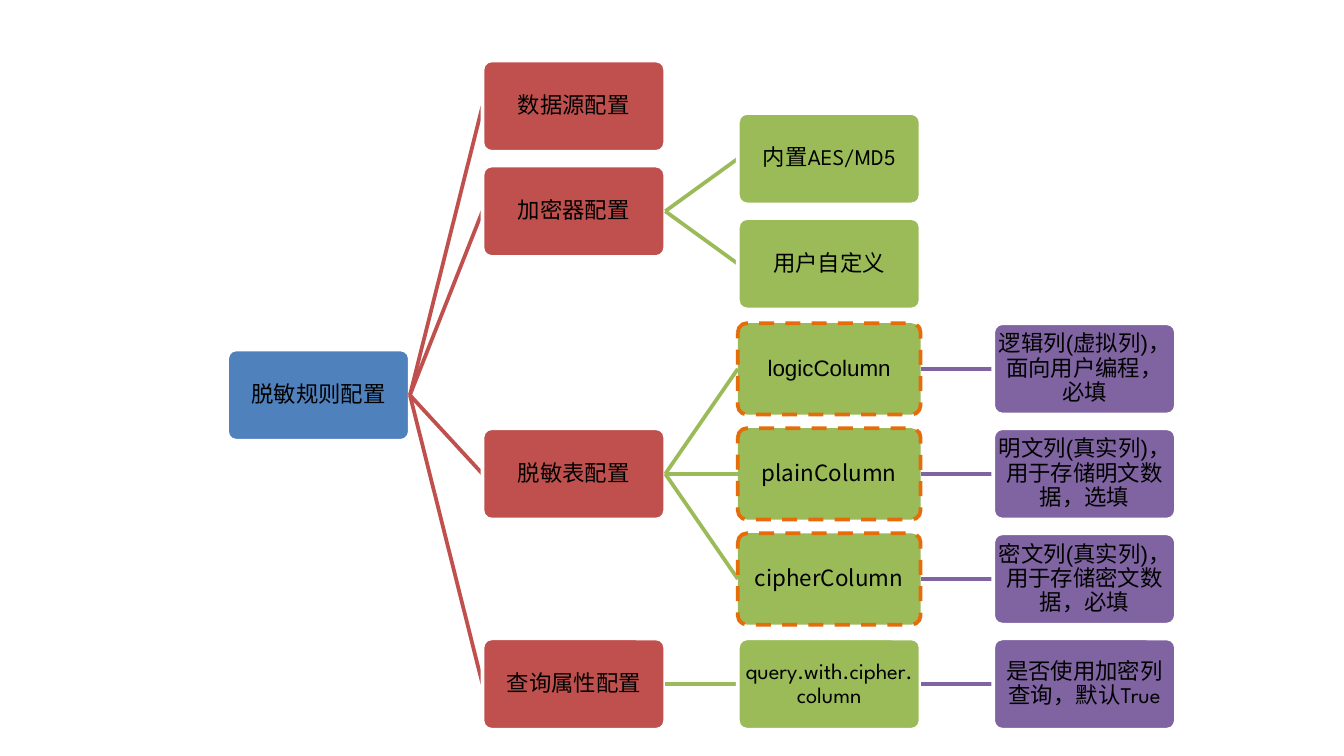
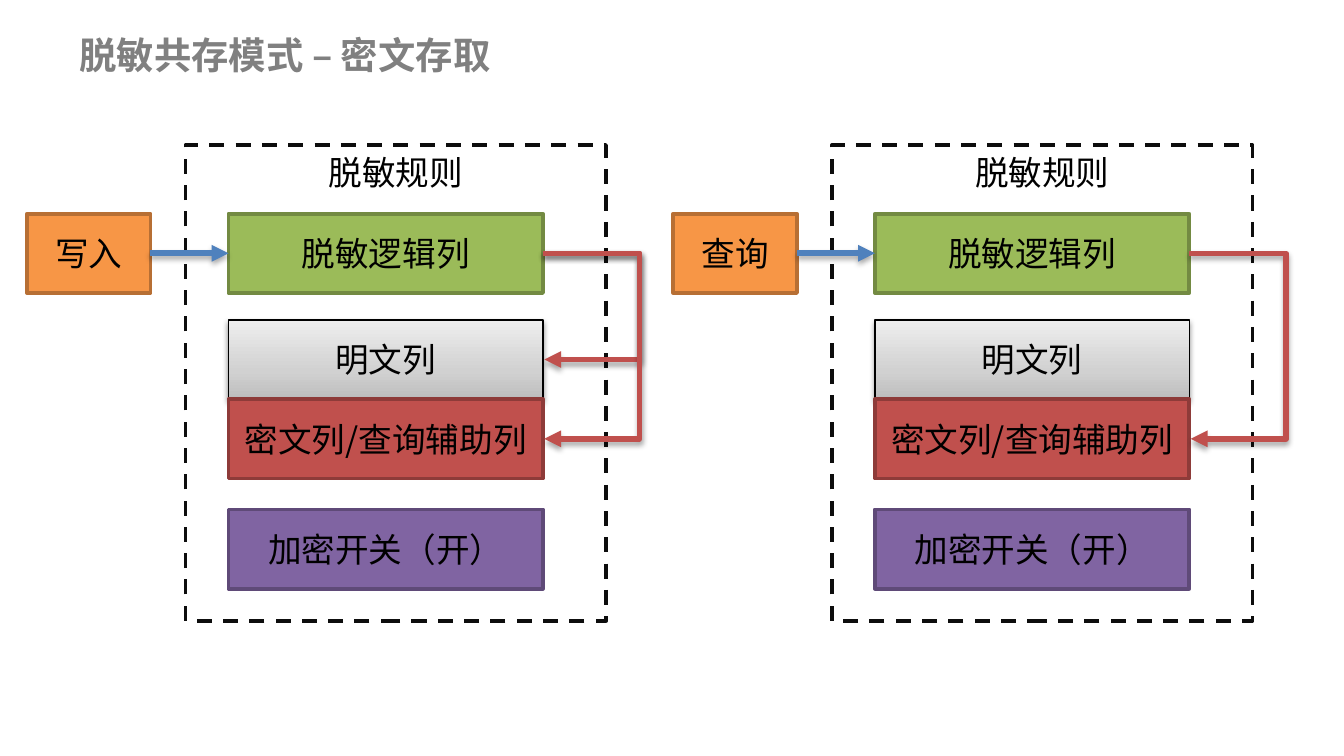
from lxml.etree import SubElement
from pptx import Presentation
from pptx.dml.color import RGBColor
from pptx.enum.dml import MSO_LINE
from pptx.enum.shapes import MSO_CONNECTOR, MSO_SHAPE
from pptx.enum.text import MSO_ANCHOR, PP_ALIGN
from pptx.oxml.ns import qn
from pptx.util import Inches, Pt

COLORS = {
    "blue": "4F81BD", "red": "C0504D", "green": "9BBB59", "purple": "8064A2",
    "orange": "F79646", "highlight": "E46C0A", "white": "FFFFFF",
    "black": "000000", "title": "808080", "frame": "0D0D0D",
    "red_edge": "8E3B39", "green_edge": "738A42", "purple_edge": "5F4A78",
    "orange_edge": "B76F34",
}
METAL = [(0, "BDBDBD"), (35, "D1D1D1"), (100, "EEEEEE")]
SPARTAN, ARIAL, NOTO = "League Spartan", "Arial", "Noto Sans CJK SC"
TOP, LEFT, BOTTOM, RIGHT = range(4)

# Tree grid: one column per level, rows counted in half-box slots
LEVEL_COLORS = ["blue", "red", "green", "purple"]
TREE_LEFT, TREE_TOP, LEVEL_PITCH = 1.69, 0.45, 1.9
SLOT_PITCH = 4.3 / 11
NODE_WIDTH, NODE_HEIGHT = 1.36, 0.68

# (text, slot, font, highlighted, children)
RULE_TREE = ("脱敏规则配置", 5.5, SPARTAN, False, [
    ("数据源配置", 0, SPARTAN, False, []),
    ("加密器配置", 2, SPARTAN, False, [
        ("内置AES/MD5", 1, SPARTAN, False, []),
        ("用户自定义", 3, SPARTAN, False, []),
    ]),
    ("脱敏表配置", 7, SPARTAN, False, [
        ("logicColumn", 5, ARIAL, True, [
            ("逻辑列(虚拟列)，面向用户编程，必填", 5, ARIAL, False, [])]),
        ("plainColumn", 7, NOTO, True, [
            ("明文列(真实列)，用于存储明文数据，选填", 7, ARIAL, False, [])]),
        ("cipherColumn", 9, NOTO, True, [
            ("密文列(真实列)，用于存储密文数据，必填", 9, ARIAL, False, [])]),
    ]),
    ("查询属性配置", 11, SPARTAN, False, [
        ("query.with.cipher.column", 11, SPARTAN, False, [
            ("是否使用加密列查询，默认True", 11, SPARTAN, False, [])]),
    ]),
])

# Panel geometry, measured from the panel's left edge
BOX_HEIGHT, COLUMN_LEFT, COLUMN_WIDTH = 0.59, 1.5, 2.34
LOGIC_TOP, PLAIN_TOP, CIPHER_TOP, SWITCH_TOP = 1.59, 2.38, 2.97, 3.79
ELBOW_REACH, ELBOW_STEP = 0.73, 0.01


def rgb(name):
    return RGBColor.from_string(COLORS[name])


def write(frame, text, size, font, color="black", bold=False, align=PP_ALIGN.CENTER):
    para = frame.paragraphs[0]
    para.alignment = align
    span = para.add_run()
    span.text = text
    span.font.size = Pt(size)
    span.font.name = font
    span.font.bold = bold
    span.font.color.rgb = rgb(color)
    SubElement(span.font._element, qn("a:ea"), typeface=NOTO)
    return para


def add_box(page, kind, place, fill, edge, weight=2, dashed=False):
    box = page.shapes.add_shape(kind, *(Inches(value) for value in place))
    box.shadow.inherit = False
    if fill:
        box.fill.solid()
        box.fill.fore_color.rgb = rgb(fill)
    else:
        box.fill.background()
    box.line.color.rgb = rgb(edge)
    box.line.width = Pt(weight)
    if dashed:
        box.line.dash_style = MSO_LINE.DASH
    box.text_frame.word_wrap = True
    box.text_frame.vertical_anchor = MSO_ANCHOR.MIDDLE
    return box


def add_line(page, kind, color, weight, start=(0, 0), end=(0, 0)):
    line = page.shapes.add_connector(kind, *(Inches(v) for v in (*start, *end)))
    line.line.color.rgb = rgb(color)
    line.line.width = Pt(weight)
    SubElement(line._element.spPr, qn("a:effectLst"))
    return line


def add_shadow(shape, alpha, distance):
    effects = shape._element.spPr.find(qn("a:effectLst"))
    shadow = SubElement(effects, qn("a:outerShdw"), blurRad=str(Pt(3.1)),
                        dist=str(Pt(distance)), dir="5400000", rotWithShape="0")
    color = SubElement(shadow, qn("a:srgbClr"), val=COLORS["black"])
    SubElement(color, qn("a:alpha"), val=str(alpha * 1000))


def fill_metal(box):
    box.fill.gradient()
    box.fill.gradient_angle = 90
    stops = box._element.spPr.find(qn("a:gradFill")).find(qn("a:gsLst"))
    for stop in list(stops):
        stops.remove(stop)
    for position, color in METAL:
        stop = SubElement(stops, qn("a:gs"), pos=str(position * 1000))
        SubElement(stop, qn("a:srgbClr"), val=color)


def add_arrow(page, kind, color, start=(0, 0), end=(0, 0)):
    arrow = add_line(page, kind, color, 3, start, end)
    SubElement(arrow.get_or_add_ln(), qn("a:tailEnd"), type="triangle")
    add_shadow(arrow, 35, 1.8)
    return arrow


def add_elbow(page, left, top, bottom):
    """Arrow that leaves to the right and returns at a lower height."""
    elbow = add_arrow(page, MSO_CONNECTOR.ELBOW, "red",
                      (left, top), (left + ELBOW_STEP, bottom))
    geometry = elbow._element.spPr.find(qn("a:prstGeom"))
    guides = geometry.find(qn("a:avLst"))
    if guides is None:
        guides = SubElement(geometry, qn("a:avLst"))
    bend = round(ELBOW_REACH / ELBOW_STEP * 100000)
    SubElement(guides, qn("a:gd"), name="adj1", fmla=f"val {bend}")


def add_branch(page, node, level=0, parent=None):
    text, slot, font, highlighted, children = node
    color = LEVEL_COLORS[level]
    # The line lies beneath the node it leads to
    if parent is not None:
        line = add_line(page, MSO_CONNECTOR.STRAIGHT, color, 2)
    place = (TREE_LEFT + level * LEVEL_PITCH, TREE_TOP + slot * SLOT_PITCH,
             NODE_WIDTH, NODE_HEIGHT)
    box = add_box(page, MSO_SHAPE.ROUNDED_RECTANGLE, place, color,
                  "highlight" if highlighted else "white", dashed=highlighted)
    box.adjustments[0] = 0.1
    frame = box.text_frame
    frame.margin_left = frame.margin_right = Inches(0.01)
    frame.margin_top = frame.margin_bottom = Inches(0.01)
    write(frame, text, 12, font).line_spacing = 0.9
    if parent is not None:
        line.begin_connect(parent, RIGHT)
        line.end_connect(box, LEFT)
    for child in children:
        add_branch(page, child, level + 1, box)


def add_title(page, text):
    box = page.shapes.add_textbox(Inches(0.52), Inches(0.2), Inches(3.28), Inches(0.41))
    frame = box.text_frame
    frame.word_wrap = False
    frame.margin_left = frame.margin_right = Inches(0.07)
    frame.margin_top = frame.margin_bottom = Inches(0.04)
    write(frame, text, 20, NOTO, "title", True, PP_ALIGN.LEFT)


def add_panel(page, left, action, action_font, target_tops):
    column = left + COLUMN_LEFT

    def add_field(text, top, fill, edge, font=NOTO, weight=2, x=column, width=COLUMN_WIDTH):
        box = add_box(page, MSO_SHAPE.RECTANGLE, (x, top, width, BOX_HEIGHT),
                      fill, edge, weight)
        write(box.text_frame, text, 18, font)
        return box

    # Stored columns
    plain = add_field("明文列", PLAIN_TOP, None, "black", weight=0.75)
    fill_metal(plain)
    add_shadow(plain, 38, 1.6)
    add_field("密文列/查询辅助列", CIPHER_TOP, "red", "red_edge")

    # Rule frame and its other fields
    rules = add_box(page, MSO_SHAPE.RECTANGLE, (left + 1.18, 1.08, 3.13, 3.54),
                    None, "frame", dashed=True)
    rules.text_frame.vertical_anchor = MSO_ANCHOR.TOP
    write(rules.text_frame, "脱敏规则", 18, SPARTAN)
    add_field("加密开关（开）", SWITCH_TOP, "purple", "purple_edge")
    logic = add_field("脱敏逻辑列", LOGIC_TOP, "green", "green_edge", SPARTAN)
    entry = add_field(action, LOGIC_TOP, "orange", "orange_edge", action_font,
                      x=left, width=0.92)

    # Flow
    arrow = add_arrow(page, MSO_CONNECTOR.STRAIGHT, "blue")
    arrow.begin_connect(entry, RIGHT)
    arrow.end_connect(logic, LEFT)
    for top in target_tops:
        add_elbow(page, column + COLUMN_WIDTH, LOGIC_TOP + BOX_HEIGHT / 2,
                  top + BOX_HEIGHT / 2)


def main():
    deck = Presentation()
    # Widescreen, 16 to 9
    deck.slide_width = Inches(10)
    deck.slide_height = Inches(10 * 9 / 16)
    blank = deck.slide_layouts[6]

    # Slide 1: rule configuration tree
    add_branch(deck.slides.add_slide(blank), RULE_TREE)

    # Slide 2: writing and querying cipher text
    page = deck.slides.add_slide(blank)
    add_title(page, "脱敏共存模式 – 密文存取")
    add_panel(page, 5.01, "查询", SPARTAN, [CIPHER_TOP])
    add_panel(page, 0.2, "写入", NOTO, [PLAIN_TOP, CIPHER_TOP])

    deck.save("out.pptx")


if __name__ == "__main__":
    main()
